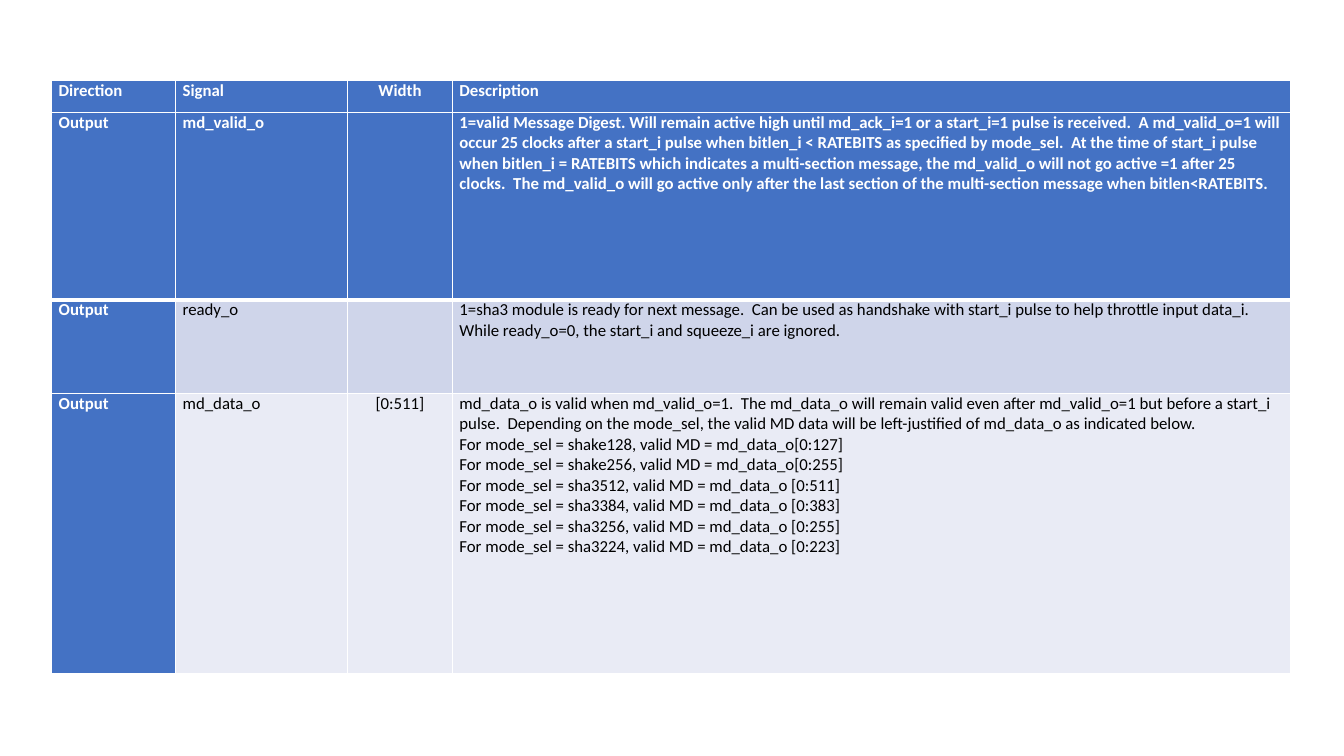
"""Build a slide that describes the output signals of a hash module."""
from dataclasses import dataclass

from lxml import etree
from pptx import Presentation
from pptx.dml.color import RGBColor
from pptx.enum.text import PP_ALIGN
from pptx.oxml.ns import qn
from pptx.util import Pt

LEFT, CENTER = PP_ALIGN.LEFT, PP_ALIGN.CENTER
WHITE, BLACK, BLUE = "FFFFFF", "000000", "4472C4"
BAND_DARK, BAND_LIGHT = "CFD5EA", "E9EBF5"
THIN, THICK = 1, 3
COLUMN_WIDTHS = (88.6, 122.8, 74.9, 598.8)
COLUMN_ALIGNS = (LEFT, LEFT, CENTER, LEFT)
TABLE_LEFT = 36.9
CELL_MARGINS = {
    "margin_left": Pt(5),
    "margin_right": Pt(5),
    "margin_top": Pt(0),
    "margin_bottom": Pt(0),
}
FONT_FORMAT = {"name": "Calibri", "size": Pt(12)}

DIGEST_WIDTHS = (
    ("shake128", "[0:127]"),
    ("shake256", "[0:255]"),
    ("sha3512", " [0:511]"),
    ("sha3384", " [0:383]"),
    ("sha3256", " [0:255]"),
    ("sha3224", " [0:223]"),
)
VALID_TEXT = (
    "1=valid Message Digest. Will remain active high until md_ack_i=1 or a "
    "start_i=1 pulse is received.  A md_valid_o=1 will occur 25 clocks after a "
    "start_i pulse when bitlen_i < RATEBITS as specified by mode_sel.  At the "
    "time of start_i pulse when bitlen_i = RATEBITS which indicates a "
    "multi-section message, the md_valid_o will not go active =1 after 25 "
    "clocks.  The md_valid_o will go active only after the last section of the "
    "multi-section message when bitlen<RATEBITS."
)
READY_TEXT = (
    "1=sha3 module is ready for next message.  Can be used as handshake with "
    "start_i pulse to help throttle input data_i.  While ready_o=0, the start_i "
    "and squeeze_i are ignored."
)
DATA_TEXT = "\n".join([
    "md_data_o is valid when md_valid_o=1.  The md_data_o will remain valid even "
    "after md_valid_o=1 but before a start_i pulse.  Depending on the mode_sel, "
    "the valid MD data will be left-justified of md_data_o as indicated below.",
    *(f"For mode_sel = {mode}, valid MD = md_data_o{bits}"
      for mode, bits in DIGEST_WIDTHS),
])


@dataclass(frozen=True)
class SignalRow:
    """One table row with its look."""
    height: float
    texts: tuple[str, str, str, str]
    fill: str = BLUE
    top: int = THIN
    bottom: int = THIN


HEADING = (
    SignalRow(24.5, ("Direction", "Signal", "Width", "Description"), bottom=THICK),
)
SIGNALS = (
    SignalRow(133.8, ("Output", "md_valid_o", "", VALID_TEXT), bottom=THICK),
    SignalRow(66.9, ("Output", "ready_o", "", READY_TEXT), BAND_DARK, top=THICK),
    SignalRow(200.4, ("Output", "md_data_o", "[0:511]", DATA_TEXT), BAND_LIGHT),
)


def rgb(color: str) -> RGBColor:
    """Turn a hex string into a colour."""
    return RGBColor.from_string(color)


def apply_format(target, values: dict) -> None:
    """Set each named attribute on the target."""
    for name, value in values.items():
        setattr(target, name, value)


def draw_borders(cell, row: SignalRow) -> None:
    """Give the cell white borders of the row's widths."""
    properties = cell._tc.get_or_add_tcPr()
    widths = {"lnL": THIN, "lnR": THIN, "lnT": row.top, "lnB": row.bottom}
    for side, width in widths.items():
        line = etree.SubElement(properties, qn(f"a:{side}"), w=str(Pt(width)))
        solid = etree.SubElement(line, qn("a:solidFill"))
        etree.SubElement(solid, qn("a:srgbClr"), val=WHITE)


def fill_cell(cell, row: SignalRow, column: int) -> None:
    """Write and style one cell of a signal row."""
    fill = row.fill if column else BLUE
    strong = fill == BLUE
    apply_format(cell, CELL_MARGINS)
    draw_borders(cell, row)
    cell.fill.solid()
    cell.fill.fore_color.rgb = rgb(fill)
    cell.text = row.texts[column]
    for paragraph in cell.text_frame.paragraphs:
        paragraph.alignment = COLUMN_ALIGNS[column]
        for run in paragraph.runs:
            apply_format(run.font, FONT_FORMAT | {"bold": strong})
            run.font.color.rgb = rgb(WHITE if strong else BLACK)


def draw_table(slide, top: float, rows: tuple[SignalRow, ...]) -> None:
    """Draw the rows as one table."""
    table = slide.shapes.add_table(
        len(rows), len(COLUMN_WIDTHS), Pt(TABLE_LEFT), Pt(top),
        Pt(sum(COLUMN_WIDTHS)), Pt(sum(row.height for row in rows)),
    ).table
    for column, width in zip(table.columns, COLUMN_WIDTHS):
        column.width = Pt(width)
    for index, row in enumerate(rows):
        table.rows[index].height = Pt(row.height)
        for column in range(len(COLUMN_WIDTHS)):
            fill_cell(table.cell(index, column), row, column)


def main() -> None:
    """Build and save the slide."""
    deck = Presentation()
    apply_format(deck, {"slide_width": Pt(960), "slide_height": Pt(540)})
    slide = deck.slides.add_slide(deck.slide_layouts[6])
    draw_table(slide, 57.6, HEADING)
    draw_table(slide, 80.3, SIGNALS)
    deck.save("out.pptx")


main()
